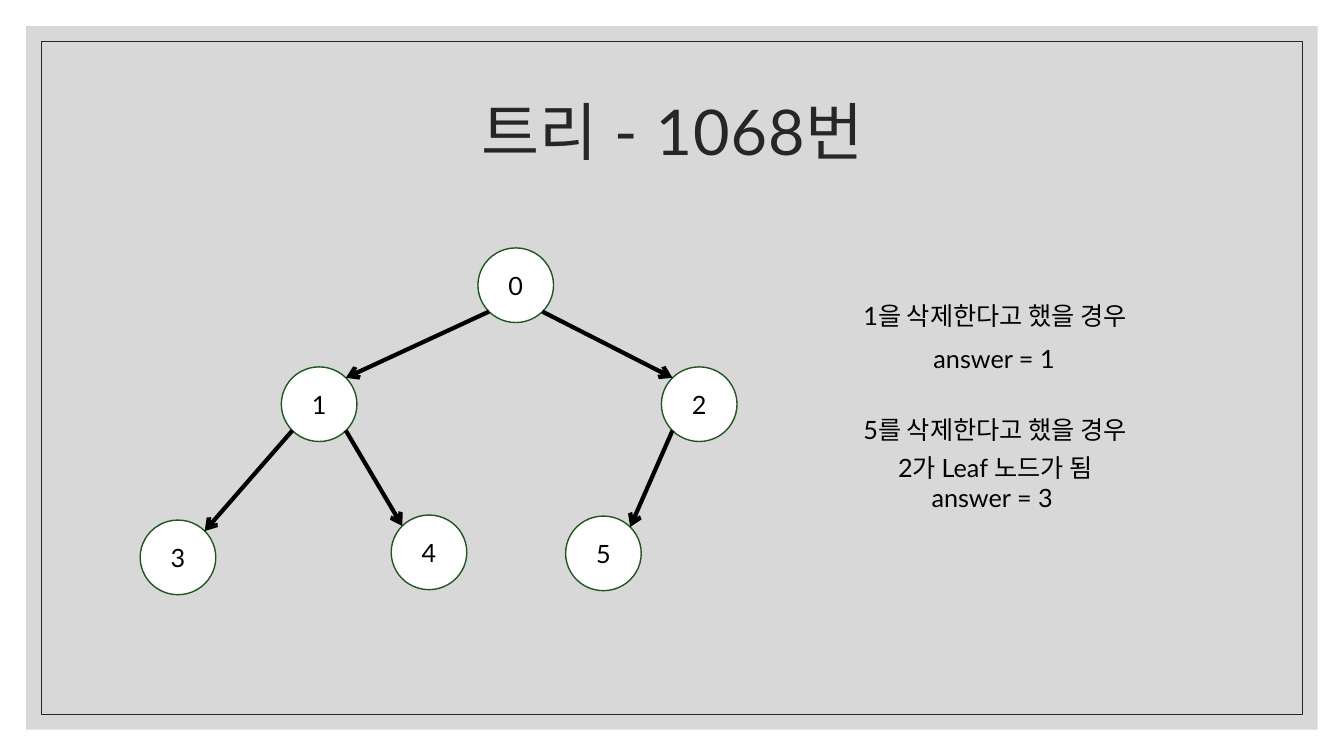
import math

import lxml.etree
import pptx
import pptx.dml.color
import pptx.enum.shapes
import pptx.enum.text
import pptx.oxml.ns
import pptx.util

WIDE, HIGH = 13.33, 7.5
THEME = {
    "font": "Lato", "title": 45, "body": 18,
    "ink": "000000", "dark": "262626", "panel": "BFBFBF",
    "node": "FFFFFF", "rim": "215621",
}
TITLE = "트리 - 1068번"
# label: left, top
NODES = {
    "0": (4.74, 2.46), "1": (2.79, 3.64), "2": (6.56, 3.64),
    "3": (1.39, 5.16), "4": (3.88, 5.11), "5": (5.61, 5.12),
}
EDGES = [("0", "1"), ("1", "3"), ("1", "4"), ("0", "2"), ("2", "5")]
SIZE = (0.75, 0.74)
# left, top, width, height, lines
NOTES = [
    (8.29, 4.06, 3.16, 0.39, ["5를 삭제한다고 했을 경우"]),
    (8.29, 2.93, 3.16, 0.4, ["1을 삭제한다고 했을 경우"]),
    (9.13, 3.36, 1.46, 0.39, ["answer = 1"]),
    (8.65, 4.44, 2.38, 0.69, [" 2가 Leaf 노드가 됨", "answer = 3"]),
]

KIND = pptx.enum.shapes.MSO_SHAPE
MIDDLE = pptx.enum.text.MSO_ANCHOR.MIDDLE
inch = pptx.util.Inches
qn = pptx.oxml.ns.qn


def color(name):
    return pptx.dml.color.RGBColor.from_string(THEME[name])


def add_xml(owner, tag, **attrs):
    lxml.etree.SubElement(owner, qn(tag), attrs)


def write(shape, lines, size="body", ink="ink", **frame):
    """Fill a shape with centred lines; frame holds text frame settings."""
    text = shape.text_frame
    for key, value in {"word_wrap": True, **frame}.items():
        setattr(text, key, value)
    text.text = "\n".join(lines)
    for para in text.paragraphs:
        para.alignment = pptx.enum.text.PP_ALIGN.CENTER
        font = para.runs[0].font
        font.name, font.size = THEME["font"], pptx.util.Pt(THEME[size])
        font.color.rgb = color(ink)


def add_shape(slide, kind, box, fill=None, line=None, weight=1):
    shape = slide.shapes.add_shape(kind, *map(inch, box))
    shape.shadow.inherit = False
    if fill:
        shape.fill.solid()
        shape.fill.fore_color.rgb = color(fill)
    else:
        shape.fill.background()
    if line:
        shape.line.color.rgb = color(line)
        shape.line.width = pptx.util.Pt(weight)
    else:
        shape.line.fill.background()
    return shape


def add_box(slide, box, lines, **look):
    shape = slide.shapes.add_textbox(*map(inch, box))
    write(shape, lines, **look)
    return shape


def corner(label, side, down):
    """Point on a node's rim at 45 degrees; side and down are -1 or 1."""
    left, top = NODES[label]
    wide, high = SIZE
    reach = math.sqrt(0.5)
    return (left + wide / 2 * (1 + side * reach),
            top + high / 2 * (1 + down * reach))


def add_edge(slide, upper, lower):
    side = 1 if NODES[lower][0] > NODES[upper][0] else -1
    ends = corner(upper, side, 1) + corner(lower, -side, -1)
    edge = slide.shapes.add_connector(
        pptx.enum.shapes.MSO_CONNECTOR.STRAIGHT, *map(inch, ends))
    edge.line.color.rgb = color("ink")
    edge.line.width = pptx.util.Pt(3)
    props = edge._element.spPr
    add_xml(props.find(qn("a:ln")), "a:tailEnd", type="arrow")
    add_xml(props, "a:effectLst")


def add_panel(slide):
    for gap, look in ((0.26, {"fill": "panel"}),
                      (0.41, {"line": "dark", "weight": 0.5})):
        box = (gap, gap, WIDE - 2 * gap, HIGH - 2 * gap)
        shape = add_shape(slide, KIND.RECTANGLE, box, **look)
        if "fill" in look:
            tint = shape._element.spPr.find(".//" + qn("a:srgbClr"))
            add_xml(tint, "a:alpha", val="60000")


def add_title(slide):
    pad = inch(0.12)
    shape = add_box(slide, (1.17, 0.51, 11, 1.5), [TITLE], size="title",
                    ink="dark", vertical_anchor=MIDDLE, margin_left=pad,
                    margin_right=pad, margin_top=pad, margin_bottom=inch(0.1))
    para = shape.text_frame.paragraphs[0]
    para.line_spacing = 1.05
    para.runs[0]._r.get_or_add_rPr().set("spc", "70")


def main():
    deck = pptx.Presentation()
    deck.slide_width, deck.slide_height = inch(WIDE), inch(HIGH)
    slide = deck.slides.add_slide(deck.slide_layouts[6])
    add_panel(slide)
    add_title(slide)
    for label, spot in NODES.items():
        node = add_shape(slide, KIND.OVAL, spot + SIZE, "node", "rim")
        write(node, [label], vertical_anchor=MIDDLE)
    for upper, lower in EDGES:
        add_edge(slide, upper, lower)
    for *box, lines in NOTES:
        add_box(slide, box, lines,
                auto_size=pptx.enum.text.MSO_AUTO_SIZE.SHAPE_TO_FIT_TEXT)
    deck.save("out.pptx")


if __name__ == "__main__":
    main()
